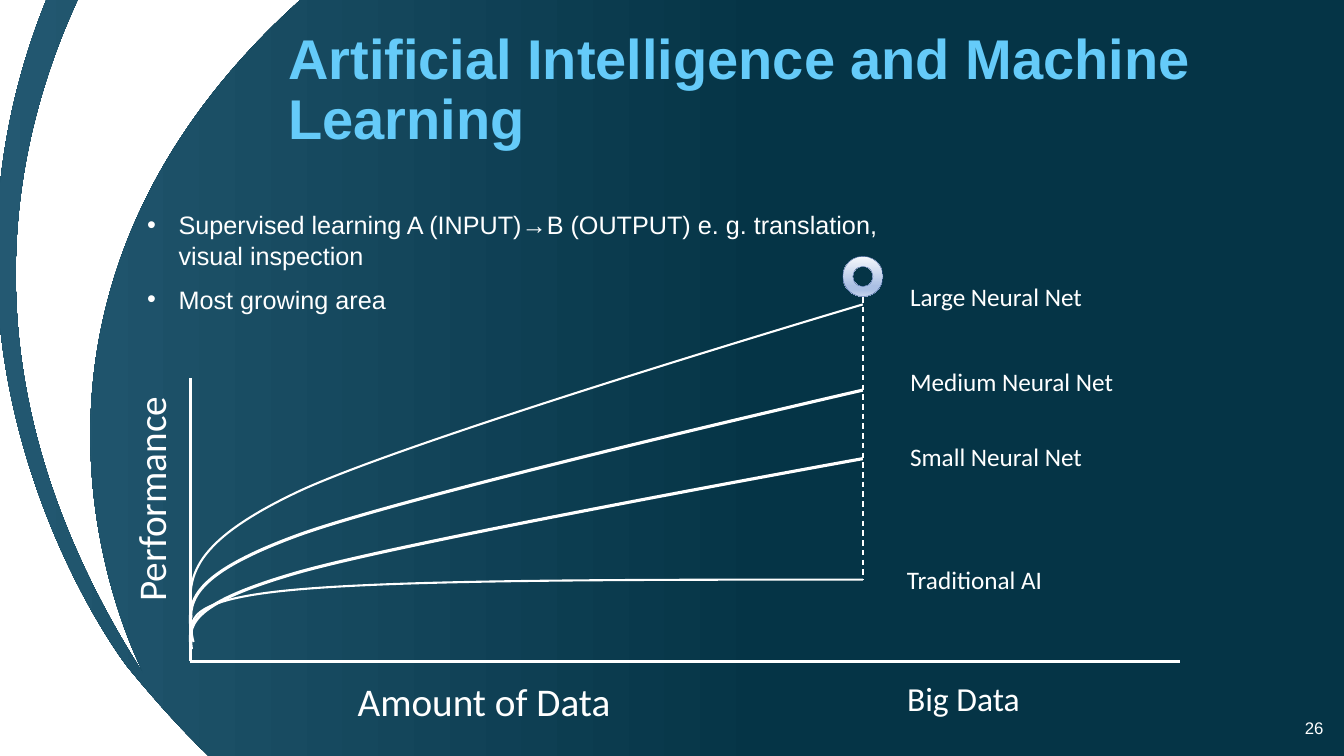
from lxml import etree
from pptx import Presentation
from pptx.dml.color import RGBColor
from pptx.enum.dml import MSO_LINE
from pptx.enum.shapes import MSO_CONNECTOR, MSO_SHAPE
from pptx.enum.text import MSO_ANCHOR as Anchor, MSO_AUTO_SIZE as AutoSize, PP_ALIGN as Align
from pptx.oxml.ns import qn
from pptx.util import Pt

WIDTH, HEIGHT = 960, 540
AXIS_X, AXIS_Y, BIG_DATA_X = 136.08, 472.5, 616.32

# one point is a straight segment, three points are a cubic one
BACKDROP = [
    [(-36.72, 226.08), (103.68, 483.12), (103.68, 483.12)],
    [(-24.48, 284.4), (2.16, 115.92), (55.44, 0)],
    [(33.12, 0)],
    [(14.4, 46.08), (4.32, 90.72), (0, 132.48)],
    [(0, 232.56)],
    [(15.12, 378), (90.72, 475.92), (90.72, 475.92)],
    [(110.16, 499.68), (129.6, 521.28), (149.04, HEIGHT)],
    [(WIDTH, HEIGHT)],
    [(WIDTH, 0)],
]
# start height, end height, line width
NEURAL_NETS = [(441.36, 217.44, 1.5), (452.16, 278.64, 2.25), (463.68, 327.6, 2.25)]
# x, and share of the rise reached there
NET_PROFILE = [(134.64, 0.116), (131.76, 0.23), (211.68, 0.4),
               (291.6, 0.57), (BIG_DATA_X, 1), (BIG_DATA_X, 1)]
TRADITIONAL_AI = [
    [(134.64, 443.52), (131.04, 428.4), (210.96, 421.2)],
    [(290.16, 414), (453.6, 414), (BIG_DATA_X, 414)],
]
CURVE_LABELS = [("Large Neural Net", 642.96, 197.28, 143.28),
                ("Medium Neural Net", 642.96, 258, 161.28),
                ("Small Neural Net", 642.96, 311.76, 138.96),
                ("Traditional AI", 640.8, 399.6, 112.32)]


def color(code):
    return RGBColor.from_string(code)


class SlideBuilder:
    WHITE, SKY = "FFFFFF", "65CBF9"
    HEADING, LABEL = "Arial", "Calibri"

    def __init__(self, slide):
        self.slide = slide
        self.shapes = slide.shapes

    def place(self, shape, left, top, width, height):
        shape.left, shape.top = Pt(left), Pt(top)
        shape.width, shape.height = Pt(width), Pt(height)

    def format_runs(self, paragraph, size, font, code, bold=False):
        for run in paragraph.runs:
            run.font.size, run.font.name, run.font.bold = Pt(size), font, bold
            run.font.color.rgb = color(code)

    def title(self, text, *box):
        shape = self.shapes.title
        self.place(shape, *box)
        frame = shape.text_frame
        frame.text = text
        frame.vertical_anchor = Anchor.MIDDLE
        frame.auto_size = AutoSize.SHAPE_TO_FIT_TEXT
        paragraph = frame.paragraphs[0]
        paragraph.alignment, paragraph.line_spacing = Align.LEFT, 0.9
        self.format_runs(paragraph, 40, self.HEADING, self.SKY, bold=True)

    def bullets(self, items, *box):
        shape = self.slide.placeholders[1]
        self.place(shape, *box)
        frame = shape.text_frame
        frame.text = "\n".join(items)
        frame.auto_size = AutoSize.SHAPE_TO_FIT_TEXT
        for index, paragraph in enumerate(frame.paragraphs):
            properties = paragraph._p.get_or_add_pPr()
            properties.set("marL", str(Pt(22.5)))
            properties.set("indent", str(-Pt(22.5)))
            etree.SubElement(properties, qn("a:buFont"), typeface="Arial")
            etree.SubElement(properties, qn("a:buChar"), char="•")
            paragraph.space_before = Pt(10 if index else 0)
            self.format_runs(paragraph, 18, self.HEADING, self.WHITE)

    def text(self, text, left, top, width, height, size, font=LABEL, wrap=True, rotation=0):
        shape = self.shapes.add_textbox(Pt(left), Pt(top), Pt(width), Pt(height))
        shape.rotation = rotation
        frame = shape.text_frame
        frame.text = text
        frame.word_wrap = wrap
        frame.auto_size = AutoSize.SHAPE_TO_FIT_TEXT
        self.format_runs(frame.paragraphs[0], size, font, self.WHITE)
        return shape

    def page_number(self, number, *box):
        frame = self.text(number, *box, 12, self.HEADING).text_frame
        frame.auto_size = AutoSize.NONE
        frame.vertical_anchor = Anchor.MIDDLE
        frame.paragraphs[0].alignment = Align.RIGHT

    def line(self, start, end, width, dash=None):
        connector = self.shapes.add_connector(
            MSO_CONNECTOR.STRAIGHT, *(Pt(value) for value in (*start, *end)))
        connector.line.color.rgb = color(self.WHITE)
        connector.line.width = Pt(width)
        if dash:
            connector.line.dash_style = dash
        etree.SubElement(connector._element.spPr, qn("a:effectLst"))

    def outline(self, start, segments, close):
        """Draw all points as a freeform, then bend each three-point segment."""
        builder = self.shapes.build_freeform(Pt(start[0]), Pt(start[1]))
        builder.add_line_segments(
            [(Pt(x), Pt(y)) for segment in segments for x, y in segment], close=close)
        shape = builder.convert_to_shape()
        shape.shadow.inherit = False
        steps = iter(shape._element.spPr.findall(".//" + qn("a:lnTo")))
        for segment in segments:
            first, *others = [next(steps) for _ in segment]
            if others:
                first.tag = qn("a:cubicBezTo")
                for step in others:
                    first.append(step[0])
                    step.getparent().remove(step)
        return shape

    def curve(self, start, segments, width):
        shape = self.outline(start, segments, close=False)
        shape.fill.background()
        shape.line.color.rgb = color(self.WHITE)
        shape.line.width = Pt(width)

    def gradient(self, shape, stops, angle):
        """Fill with (percent, colour) stops; the angle runs counter-clockwise."""
        shape.fill.gradient()
        shape.fill.gradient_angle = angle
        stop_list = shape._element.spPr.find(".//" + qn("a:gsLst"))
        for old in list(stop_list):
            stop_list.remove(old)
        for percent, code in stops:
            stop = etree.SubElement(stop_list, qn("a:gs"), pos=str(percent * 1000))
            etree.SubElement(stop, qn("a:srgbClr"), val=code)

    def backdrop(self):
        shape = self.outline((214.56, 0), BACKDROP, close=True)
        self.gradient(shape, [(41, "053446"), (100, "255B74")], 180)
        shape.line.fill.background()
        self.shapes._spTree.insert(2, shape._element)

    def ring(self, *box):
        shape = self.shapes.add_shape(MSO_SHAPE.DONUT, *(Pt(value) for value in box))
        shape.shadow.inherit = False
        self.gradient(shape, [(0, "F6F8FC"), (74, "ABC0E4"), (83, "ABC0E4"),
                              (100, "C7D5ED")], 270)
        shape.line.color.rgb = color("325491")
        shape.line.width = Pt(0.25)


def main():
    presentation = Presentation()
    presentation.slide_width, presentation.slide_height = Pt(WIDTH), Pt(HEIGHT)
    builder = SlideBuilder(presentation.slides.add_slide(presentation.slide_layouts[1]))

    builder.backdrop()
    builder.title("Artificial Intelligence and Machine Learning", 198.72, 18, 692.64, 94.32)
    builder.page_number("26", 736.56, 505.44, 216, 28.8)
    builder.bullets(["Supervised learning A (INPUT)→B (OUTPUT) e. g. translation, visual inspection",
                     "Most growing area"], 97.92, 146.16, 576.72, 92.88)

    builder.text("Performance", 20.88, 329.4, 173.52, 41.04, 28, rotation=270)
    builder.text("Amount of Data", 248.4, 480.24, 210.24, 41.04, 28)
    builder.text("Big Data", 640.8, 480.96, 120.96, 36, 24)
    for label, left, top, width in CURVE_LABELS:
        builder.text(label, left, top, width, 28.8, 18, wrap=False)

    builder.line((BIG_DATA_X, 205.2), (BIG_DATA_X, 414), 1, MSO_LINE.DASH)
    for low, high, width in NEURAL_NETS:
        points = [(x, low + share * (high - low)) for x, share in NET_PROFILE]
        builder.curve((136.8, low), [points[:3], points[3:]], width)
    builder.ring(602, 183.1, 28.8, 28.8)
    builder.line((AXIS_X, AXIS_Y), (843.12, AXIS_Y), 1.5)
    builder.line((AXIS_X, 270), (AXIS_X, AXIS_Y), 1.5)
    builder.curve((138.24, 458.64), TRADITIONAL_AI, 1.5)

    presentation.save("out.pptx")


if __name__ == "__main__":
    main()
